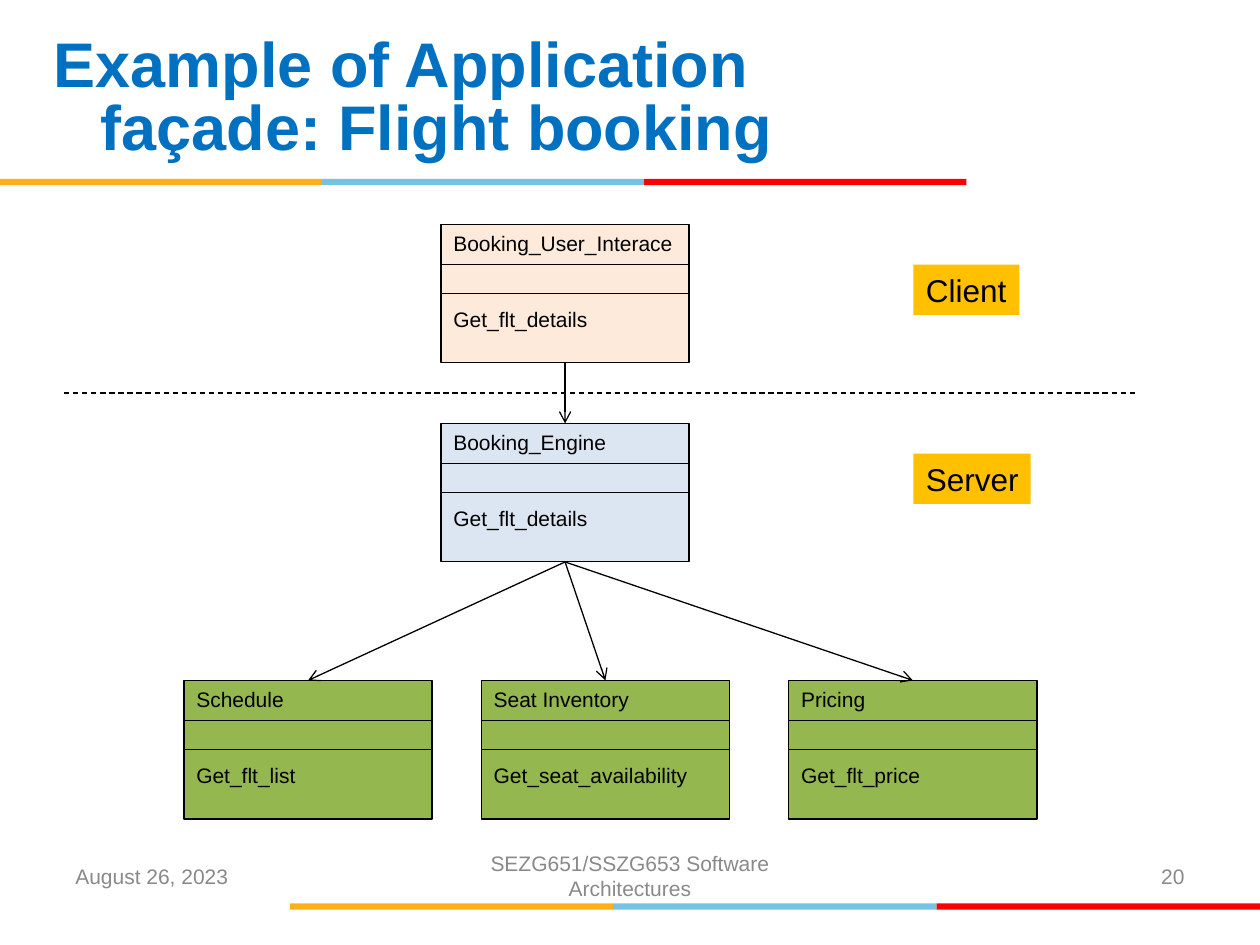
from dataclasses import dataclass

from lxml import etree
from pptx import Presentation
from pptx.dml.color import RGBColor
from pptx.enum.dml import MSO_LINE
from pptx.enum.shapes import MSO_CONNECTOR, MSO_SHAPE
from pptx.enum.text import MSO_ANCHOR, PP_ALIGN
from pptx.oxml.ns import qn
from pptx.util import Inches, Pt

RECT = MSO_SHAPE.RECTANGLE
LINE = MSO_CONNECTOR.STRAIGHT
DASH = MSO_LINE.DASH
TOP, MIDDLE = MSO_ANCHOR.TOP, MSO_ANCHOR.MIDDLE
LEFT, CENTER, RIGHT = PP_ALIGN.LEFT, PP_ALIGN.CENTER, PP_ALIGN.RIGHT


@dataclass(frozen=True)
class Theme:
    font: str = "Arial"
    ink: str = "000000"
    title: str = "0070C0"
    muted: str = "898989"
    client: str = "FDEADA"
    engine: str = "DCE6F2"
    service: str = "95B74F"
    label: str = "FFC000"
    bands: tuple = ("FCB017", "76C2E5", "FF0000")
    head: int = 36
    tag: int = 18
    body: int = 12
    rule: float = 0.75


THEME = Theme()
CLASS_W, CLASS_H = 1.97, 1.1


def rgb(color):
    return RGBColor.from_string(color)


def add_rect(slide, box, fill, line=None):
    shape = slide.shapes.add_shape(RECT, *map(Inches, box))
    shape.shadow.inherit = False
    shape.fill.solid()
    shape.fill.fore_color.rgb = rgb(fill)
    if line:
        shape.line.color.rgb = rgb(line)
        shape.line.width = Pt(THEME.rule)
    else:
        shape.line.fill.background()
    return shape


def write(shape, lines, size, color=THEME.ink, align=LEFT, anchor=TOP,
          wrap=True, bold=False):
    """Fill a shape with lines and return its paragraphs."""
    frame = shape.text_frame
    frame.word_wrap = wrap
    frame.vertical_anchor = anchor
    frame.text = "\n".join(lines)
    for para in frame.paragraphs:
        para.alignment = align
        font = para.font
        font.name, font.size, font.bold = THEME.font, Pt(size), bold
        font.color.rgb = rgb(color)
    return frame.paragraphs


def add_line(slide, start, end, arrow=False, dash=None):
    line = slide.shapes.add_connector(LINE, *map(Inches, (*start, *end)))
    line.line.color.rgb = rgb(THEME.ink)
    line.line.width = Pt(THEME.rule)
    if dash:
        line.line.dash_style = dash
    props = line._element.spPr
    if arrow:
        etree.SubElement(props.find(qn("a:ln")), qn("a:tailEnd"), type="arrow")
    etree.SubElement(props, qn("a:effectLst"))


def add_bands(slide, box):
    """Three equal colour bands across the box."""
    left, top, width, height = box
    step = width / len(THEME.bands)
    for i, color in enumerate(THEME.bands):
        add_rect(slide, (left + i * step, top, step, height), color)


def add_title(slide, box, text):
    shape = slide.shapes.add_textbox(*map(Inches, box))
    para = write(shape, [text], THEME.head, THEME.title, anchor=MIDDLE,
                 bold=True)[0]
    para.line_spacing = Pt(THEME.head)
    props = para._p.get_or_add_pPr()
    props.set("marL", str(Inches(0.37)))
    props.set("indent", str(Inches(-0.37)))


def add_class(slide, spot, fill, name, method):
    """Draw a three-part class box; return its top and bottom centres."""
    left, top = spot
    shape = add_rect(slide, (left, top, CLASS_W, CLASS_H), fill, THEME.ink)
    paras = write(shape, [name, method], THEME.body)
    paras[1].space_before = Pt(29)
    for drop in (0.32, 0.55):
        add_line(slide, (left, top + drop), (left + CLASS_W, top + drop))
    mid = left + CLASS_W / 2
    return (mid, top), (mid, top + CLASS_H)


def add_diagram(slide, box):
    left, top, width, _ = box
    add_line(slide, (left, top + 1.34), (left + width, top + 1.34), dash=DASH)
    mid = left + 2.99
    _, client = add_class(slide, (mid, top), THEME.client,
                          "Booking_User_Interace", "Get_flt_details")
    engine, hub = add_class(slide, (mid, top + 1.58), THEME.engine,
                            "Booking_Engine", "Get_flt_details")
    add_line(slide, client, engine, arrow=True)
    services = (
        (0.95, "Schedule", "Get_flt_list"),
        (3.31, "Seat Inventory", "Get_seat_availability"),
        (5.75, "Pricing", "Get_flt_price"),
    )
    for shift, name, method in services:
        head, _ = add_class(slide, (left + shift, top + 3.62), THEME.service,
                            name, method)
        add_line(slide, hub, head, arrow=True)
    for drop, wide, text in ((0.32, 0.84, "Client"), (1.82, 0.93, "Server")):
        tag = add_rect(slide, (left + 6.74, top + drop, wide, 0.4),
                       THEME.label)
        write(tag, [text], THEME.tag, wrap=False)


def add_footer(slide, box):
    left, top, width, height = box
    side, mid = 2.33, 3.17
    parts = (
        (0, side, LEFT, "August 26, 2023"),
        ((width - mid) / 2, mid, CENTER,
         "SEZG651/SSZG653 Software Architectures"),
        (width - side, side, RIGHT, "20"),
    )
    for shift, wide, align, text in parts:
        shape = slide.shapes.add_textbox(
            *map(Inches, (left + shift, top, wide, height)))
        write(shape, [text], THEME.body, THEME.muted, align, MIDDLE)


def main():
    deck = Presentation()
    deck.slide_width, deck.slide_height = Inches(10), Inches(7.5)
    slide = deck.slides.add_slide(deck.slide_layouts[6])
    add_bands(slide, (2.3, 7.17, 7.7, 0.05))
    add_bands(slide, (0, 1.42, 7.67, 0.05))
    add_title(slide, (0.33, 0.17, 6.92, 1.25),
              "Example of Application façade: Flight booking")
    add_diagram(slide, (0.51, 1.78, 8.51, 4.72))
    add_footer(slide, (0.5, 6.75, 9, 0.4))
    deck.save("out.pptx")


if __name__ == "__main__":
    main()
